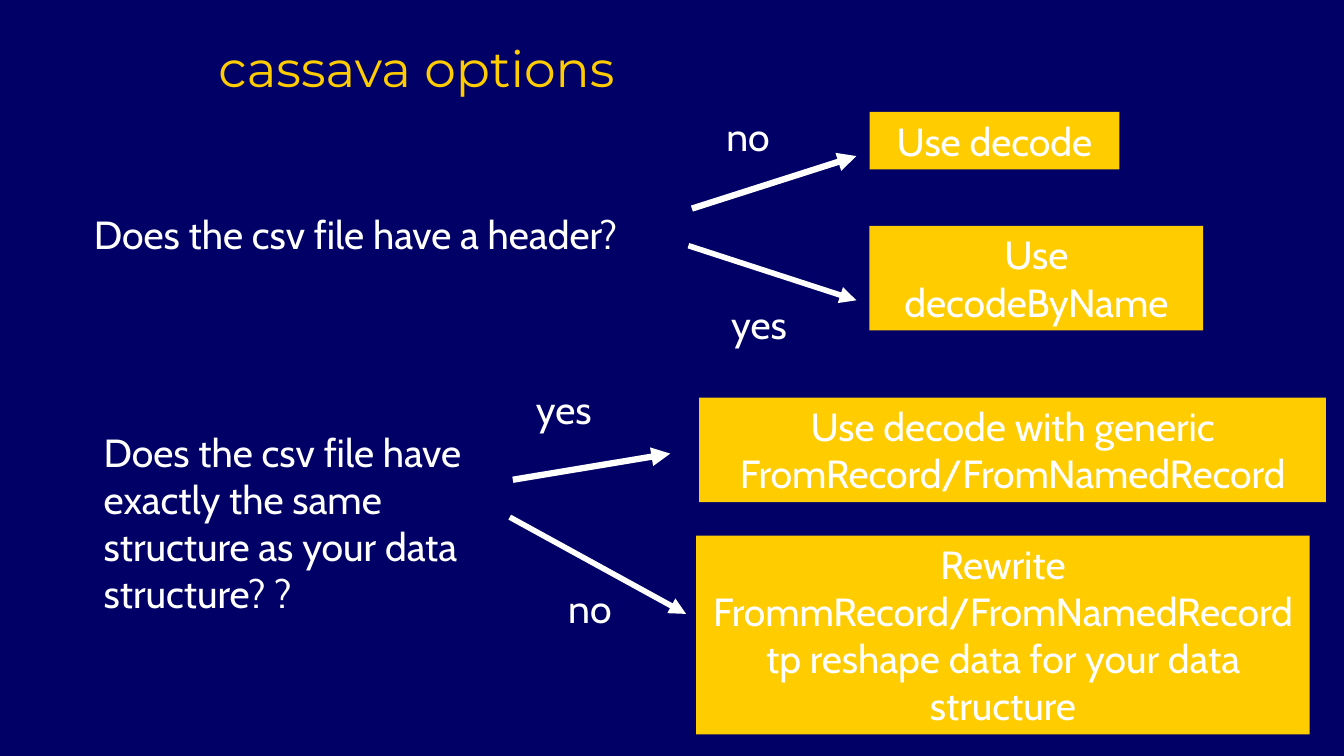
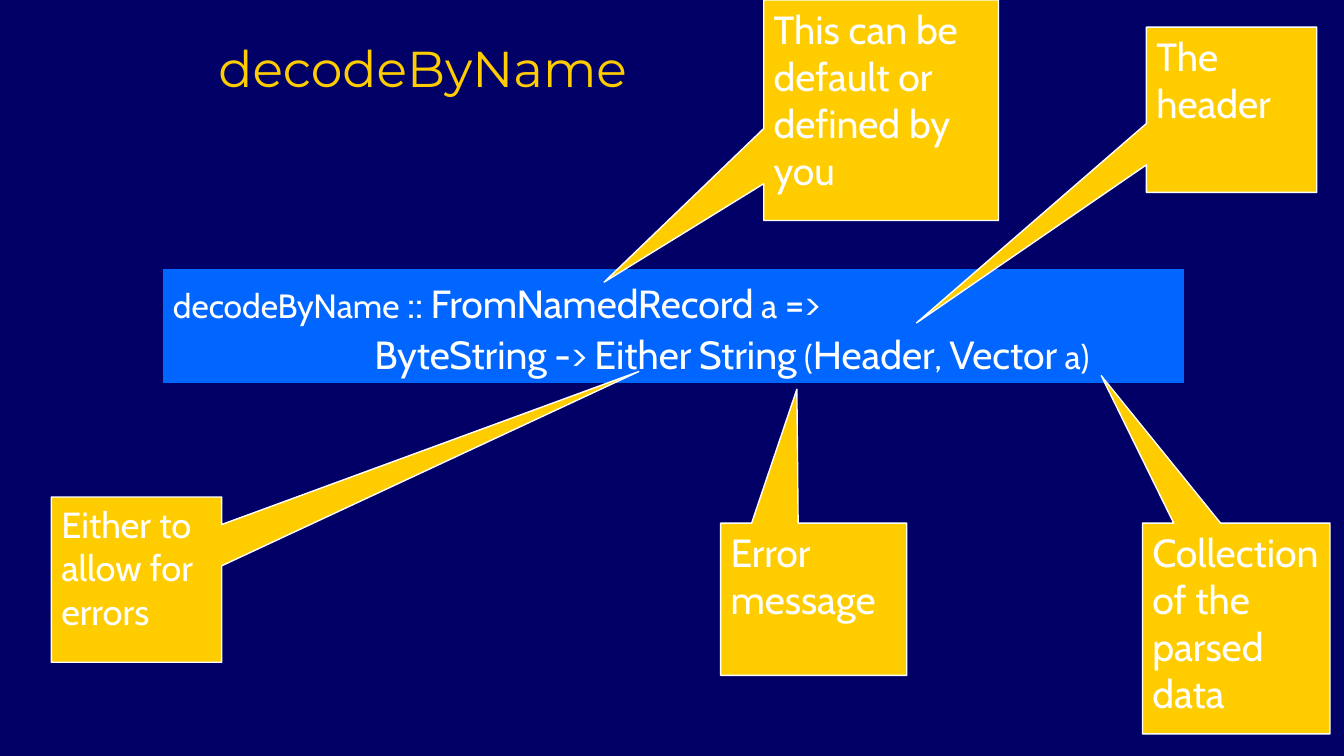
from lxml import etree
from pptx import Presentation
from pptx.dml.color import RGBColor
from pptx.enum.shapes import MSO_CONNECTOR, MSO_SHAPE
from pptx.enum.text import MSO_ANCHOR, PP_ALIGN
from pptx.oxml.ns import qn
from pptx.util import Pt

NAVY = RGBColor(0x00, 0x00, 0x66)
BLUE = RGBColor(0x00, 0x66, 0xFF)
GOLD = RGBColor(0xFF, 0xCC, 0x00)
WHITE = RGBColor(0xFF, 0xFF, 0xFF)

RECTANGLE = MSO_SHAPE.RECTANGLE
CALLOUT = MSO_SHAPE.RECTANGULAR_CALLOUT
STRAIGHT = MSO_CONNECTOR.STRAIGHT
LEFT, CENTER = PP_ALIGN.LEFT, PP_ALIGN.CENTER
TOP, MIDDLE, BOTTOM = MSO_ANCHOR.TOP, MSO_ANCHOR.MIDDLE, MSO_ANCHOR.BOTTOM

BODY_FONT, TITLE_FONT = "Cabin", "Montserrat"
TEXT_SIZE, CODE_SIZE = 28, 24


def add_text(slide, text, box, kind=None, fill=GOLD, size=TEXT_SIZE, font=BODY_FONT,
             color=WHITE, align=LEFT, anchor=TOP, spacing=1.0):
    """Add a text box, or a filled shape of the given kind.

    The text is a string, or a list of paragraphs made of (text, size) runs.
    """
    place = [Pt(length) for length in box]
    if kind is None:
        shape = slide.shapes.add_textbox(*place)
    else:
        shape = slide.shapes.add_shape(kind, *place)
        shape.shadow.inherit = False
        shape.fill.solid()
        shape.fill.fore_color.rgb = fill
        shape.line.fill.background()
    frame = shape.text_frame
    frame.word_wrap = True
    frame.vertical_anchor = anchor
    frame.margin_left = frame.margin_right = Pt(7.2)
    frame.margin_top = frame.margin_bottom = Pt(3.6)
    if isinstance(text, str):
        text = [[(line, size)] for line in text.split("\n")]
    for index, runs in enumerate(text):
        paragraph = frame.add_paragraph() if index else frame.paragraphs[0]
        paragraph.alignment = align
        paragraph.line_spacing = spacing
        for words, run_size in runs:
            run = paragraph.add_run()
            run.text = words
            run.font.size = Pt(run_size)
            run.font.name = font
            run.font.color.rgb = color
    return shape


def add_arrow(slide, start, end, width):
    ends = [Pt(length) for length in (*start, *end)]
    arrow = slide.shapes.add_connector(STRAIGHT, *ends)
    arrow.line.color.rgb = WHITE
    arrow.line.width = Pt(width)
    etree.SubElement(arrow.line._get_or_add_ln(), qn("a:tailEnd"), type="triangle")
    etree.SubElement(arrow._element.spPr, qn("a:effectLst"))


presentation = Presentation()
presentation.slide_width, presentation.slide_height = Pt(960.5), Pt(540)
background = presentation.slide_master.background.fill
background.solid()
background.fore_color.rgb = NAVY

slides = []
for title in ("cassava options", "decodeByName"):
    slide = presentation.slides.add_slide(presentation.slide_layouts[6])
    add_text(slide, title, (149, 9.4, 608, 64), size=36, font=TITLE_FONT,
             color=GOLD, anchor=BOTTOM)
    slides.append(slide)
options_slide, signature_slide = slides

# Decision tree
questions = [
    ("Does the csv file have a header?", (60, 147, 440, 41)),
    ("Does the csv file have exactly the same structure as your data\nstructure? ?",
     (67, 302.5, 300, 176)),
]
for question, box in questions:
    add_text(options_slide, question, box)

# answer, its left and top, arrow start, arrow end, arrow width, advice, advice box
branches = [
    ("no", (512, 77), (494.5, 149), (612, 111.5), 4.5,
     "Use decode", (621.4, 80, 178.5, 41)),
    ("yes", (515.5, 211), (492, 175.5), (612, 214.5), 4,
     "Use decodeByName", (621.4, 161.3, 238.5, 74.7)),
    ("yes", (376, 272), (366.5, 342.7), (479, 324), 4.5,
     "Use decode with generic FromRecord/FromNamedRecord", (499.7, 284, 448, 74.7)),
    ("no", (399, 413.5), (364.3, 369.4), (490.3, 438.5), 4,
     "Rewrite FrommRecord/FromNamedRecord tp reshape data for your data structure",
     (497.5, 382.5, 438.5, 142)),
]
for answer, corner, start, end, width, advice, box in branches:
    add_text(options_slide, answer, (*corner, 67, 41))
    add_arrow(options_slide, start, end, width)
    add_text(options_slide, advice, box, kind=RECTANGLE, align=CENTER)

# Type signature with its callouts
signature = [
    [("decodeByName ", CODE_SIZE), ("::", TEXT_SIZE), (" ", CODE_SIZE),
     ("FromNamedRecord", TEXT_SIZE), (" a ", CODE_SIZE), ("=>", TEXT_SIZE)],
    [("ByteString", TEXT_SIZE), (" ", CODE_SIZE), ("->", TEXT_SIZE), (" ", CODE_SIZE),
     ("Either", TEXT_SIZE), (" ", CODE_SIZE), ("String", TEXT_SIZE), (" (", CODE_SIZE),
     ("Header", TEXT_SIZE), (", ", CODE_SIZE), ("Vector", TEXT_SIZE), (" a)", CODE_SIZE)],
]
code = add_text(signature_slide, signature, (116.5, 192.2, 729.5, 81.4),
                kind=RECTANGLE, fill=BLUE, anchor=MIDDLE, spacing=1.1)
result_properties = code.text_frame.paragraphs[1]._p.get_or_add_pPr()
result_properties.set("marL", str(Pt(144)))
result_properties.set("indent", "0")

# text, box, pointer tip as a share of the box size from its centre, text size
callouts = [
    ("The header", (819.3, 19.4, 121.7, 118), (-1.85, 1.29), TEXT_SIZE),
    ("Collection of the parsed data", (816.5, 373.7, 134, 150.5), (-0.72, -1.2), TEXT_SIZE),
    ("Either to allow for errors", (36.7, 355, 121.7, 118), (2.95, -1.26), 25.9),
    ("Error message", (515, 373.7, 133, 108.7), (-0.09, -1.38), TEXT_SIZE),
    ("This can be default or defined by you", (545.8, 0, 167.8, 157.5), (-1.18, 0.78),
     TEXT_SIZE),
]
for text, box, tip, size in callouts:
    callout = add_text(signature_slide, text, box, kind=CALLOUT, size=size)
    callout.line.color.rgb = WHITE
    callout.line.width = Pt(1)
    callout.adjustments[0], callout.adjustments[1] = tip

presentation.save("out.pptx")
